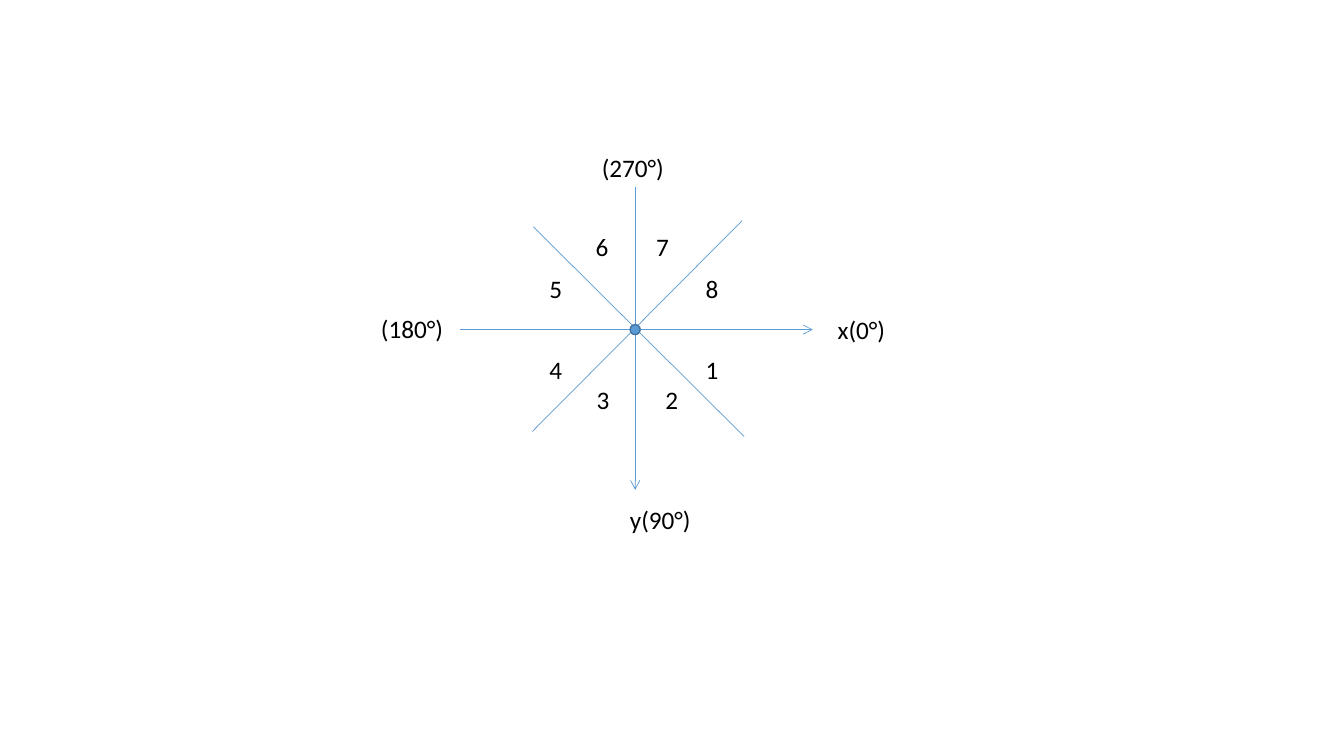
import pptx
import pptx.util
import pptx.dml.color
import pptx.enum.shapes
import pptx.enum.text
import pptx.oxml.ns
import lxml.etree

Inches = pptx.util.Inches
Pt = pptx.util.Pt
BLUE = "5B9BD5"


def rgb(value):
    return pptx.dml.color.RGBColor.from_string(value)


def add_text(text, x, y, w, h=0.4, size=18, font="Calibri", color="000000"):
    sp = s.shapes.add_textbox(Inches(x), Inches(y), Inches(w), Inches(h))
    tf = sp.text_frame
    tf.word_wrap = False
    tf.auto_size = pptx.enum.text.MSO_AUTO_SIZE.SHAPE_TO_FIT_TEXT
    r = tf.paragraphs[0].add_run()
    r.text = text
    r.font.size = Pt(size)
    r.font.name = font
    r.font.color.rgb = rgb(color)


prs = pptx.Presentation()
prs.slide_width = Inches(13.33)
prs.slide_height = Inches(7.5)
s = prs.slides.add_slide(prs.slide_layouts[6])

axes_and_diagonals = [
    (4.56, 3.27, 8.06, 3.27, True),
    (6.3, 1.86, 6.3, 4.86, True),
    (5.28, 4.28, 7.36, 2.19, False),
    (7.38, 4.33, 5.29, 2.25, False),
]
for x1, y1, x2, y2, arrow in axes_and_diagonals:
    line = s.shapes.add_connector(
        pptx.enum.shapes.MSO_CONNECTOR.STRAIGHT,
        Inches(x1), Inches(y1), Inches(x2), Inches(y2))
    line.line.color.rgb = rgb(BLUE)
    line.line.width = Pt(0.5)
    if arrow:
        ln = line.line._get_or_add_ln()
        lxml.etree.SubElement(ln, pptx.oxml.ns.qn("a:tailEnd"), type="arrow")
    lxml.etree.SubElement(line._element.spPr, pptx.oxml.ns.qn("a:effectLst"))

origin = s.shapes.add_shape(
    pptx.enum.shapes.MSO_SHAPE.OVAL,
    Inches(6.25), Inches(3.22), Inches(0.1), Inches(0.1))
origin.shadow.inherit = False
origin.fill.solid()
origin.fill.fore_color.rgb = rgb(BLUE)
origin.line.color.rgb = rgb("43739E")
origin.line.width = Pt(1)

axis_labels = [
    ("x(0°)", 8.21, 3.07, 0.73),
    ("y(90°)", 6.15, 4.95, 0.87),
    ("(180°)", 3.68, 3.06, 0.88),
    ("(270°)", 5.87, 1.46, 0.88),
]
for text, x, y, w in axis_labels:
    add_text(text, x, y, w)

octants = [
    (6.9, 3.47), (6.5, 3.76), (5.82, 3.76), (5.35, 3.47),
    (5.35, 2.66), (5.81, 2.25), (6.41, 2.25), (6.9, 2.66),
]
for number, (x, y) in enumerate(octants, 1):
    add_text(str(number), x, y, 0.34)

prs.save("out.pptx")
